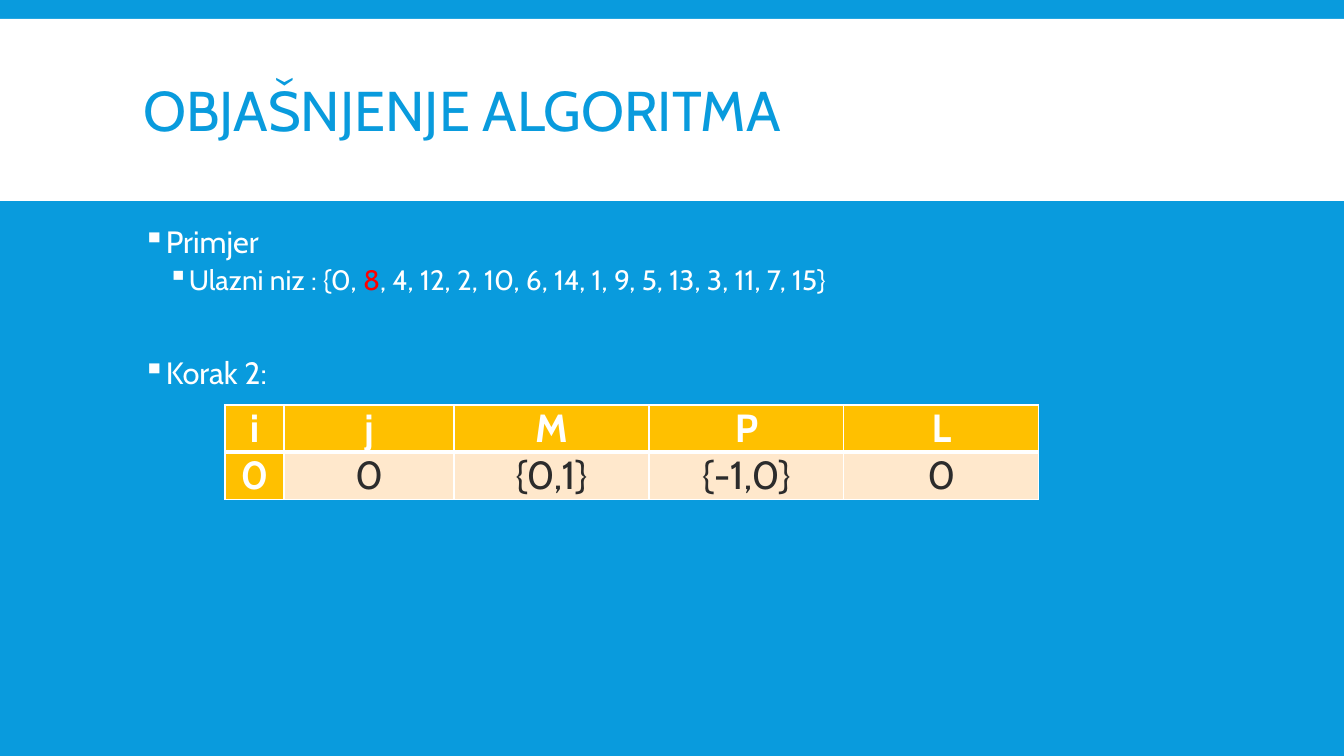
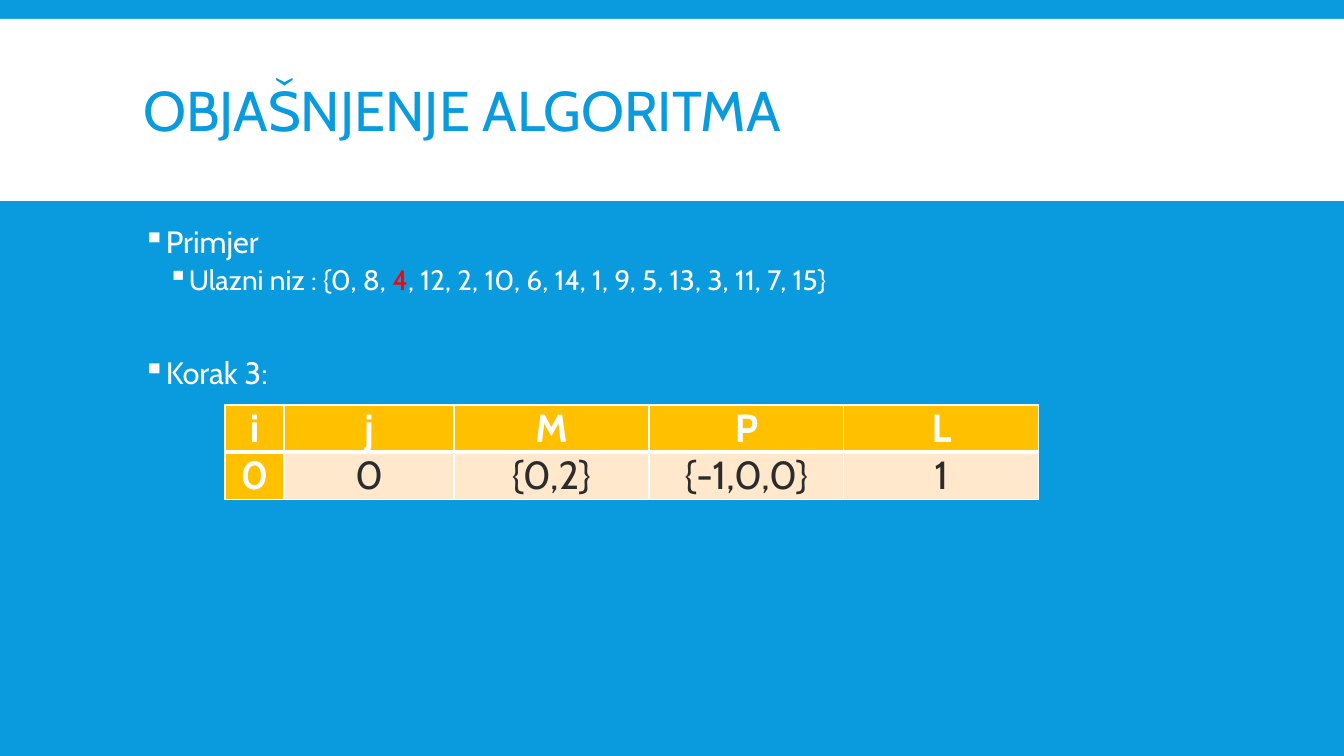
from lxml import etree
from pptx import Presentation
from pptx.dml.color import RGBColor
from pptx.enum.shapes import MSO_SHAPE
from pptx.enum.text import MSO_ANCHOR, MSO_AUTO_SIZE, PP_ALIGN
from pptx.oxml.ns import qn
from pptx.util import Pt

RECT = MSO_SHAPE.RECTANGLE
MIDDLE = MSO_ANCHOR.MIDDLE
NO_AUTOFIT = MSO_AUTO_SIZE.NONE
LEFT, CENTER = PP_ALIGN.LEFT, PP_ALIGN.CENTER

BLUE = RGBColor(0x09, 0x9B, 0xDD)
WHITE = RGBColor(0xFF, 0xFF, 0xFF)
RED = RGBColor(0xFF, 0x00, 0x00)
GOLD = RGBColor(0xFF, 0xC0, 0x00)
CREAM = RGBColor(0xFF, 0xE8, 0xCC)
DARK = RGBColor(0x2C, 0x2C, 0x2C)

FONT = "Cabin"
SLIDE_W, SLIDE_H = 1344, 756
EMU_PER_PX = 12192000 / SLIDE_W
BAND = (0, 19, SLIDE_W, 182)
TITLE = (133, 31, 1079, 166)
BODY = (133, 222, 1079, 464)
TABLE = (225, 405, 814, 94)
FIRST_COL, SECOND_COL = 59, 170

SEQUENCE = [0, 8, 4, 12, 2, 10, 6, 14, 1, 9, 5, 13, 3, 11, 7, 15]
HEADERS = ["i", "j", "M", "P", "L"]
STEPS = [
    (2, ["0", "0", "{0,1}", "{-1,0}", "0"]),
    (3, ["0", "0", "{0,2}", "{-1,0,0}", "1"]),
]


def px(n):
    """Turn pixels into EMU."""
    return round(n * EMU_PER_PX)


def add_text(p, text, size, color=WHITE, bold=False):
    """Append a formatted run to a paragraph."""
    r = p.add_run()
    r.text = text
    r.font.name = FONT
    r.font.size = Pt(size)
    r.font.bold = bold
    r.font.color.rgb = color


def set_bullet(p, margin, hang=20):
    """Give a paragraph a square bullet with a hanging indent."""
    pPr = p._p.get_or_add_pPr()
    pPr.set("marL", str(px(margin)))
    pPr.set("indent", str(-px(hang)))
    color = etree.SubElement(pPr, qn("a:buClr"))
    etree.SubElement(color, qn("a:srgbClr"), val=str(WHITE))
    etree.SubElement(pPr, qn("a:buChar"), char="▪")


def add_bullet(p, parts, size, margin, before, after):
    """Fill a bulleted paragraph from (text, color) parts."""
    p.line_spacing = 0.9
    p.space_before, p.space_after = Pt(before), Pt(after)
    set_bullet(p, margin)
    for text, color in parts:
        add_text(p, text, size, color=color)


def set_borders(cell, top, bottom):
    """Draw white borders around a cell, with 1 pt sides."""
    tcPr = cell._tc.get_or_add_tcPr()
    for side, width in (("L", 1), ("R", 1), ("T", top), ("B", bottom)):
        ln = etree.SubElement(tcPr, qn("a:ln" + side), w=str(Pt(width)))
        fill = etree.SubElement(ln, qn("a:solidFill"))
        etree.SubElement(fill, qn("a:srgbClr"), val=str(WHITE))


def add_header(s, text, band, box):
    """Place the white band and the title over it."""
    sp = s.shapes.add_shape(RECT, *map(px, band))
    sp.shadow.inherit = False
    sp.fill.solid()
    sp.fill.fore_color.rgb = WHITE
    sp.line.fill.background()
    title = s.shapes.title
    title._element.addprevious(sp._element)
    title.left, title.top, title.width, title.height = map(px, box)
    tf = title.text_frame
    tf.word_wrap = True
    tf.auto_size = NO_AUTOFIT
    tf.vertical_anchor = MIDDLE
    p = tf.paragraphs[0]
    p.alignment = LEFT
    p.line_spacing = 0.85
    add_text(p, text, 40, color=BLUE)


def add_body(s, step, box):
    """List the input sequence, with the step's element in red, and the step."""
    tf = s.shapes.add_textbox(*map(px, box)).text_frame
    tf.word_wrap = True
    current = step - 1
    before = "".join(f"{n}, " for n in SEQUENCE[:current])
    after = "".join(f", {n}" for n in SEQUENCE[current + 1:])
    sequence = [("Ulazni niz : {" + before, WHITE),
                (str(SEQUENCE[current]), RED),
                (after + "}", WHITE)]
    add_bullet(tf.paragraphs[0], [("Primjer", WHITE)], 22, 20, 12, 2)
    add_bullet(tf.add_paragraph(), sequence, 20, 45, 2, 4)
    add_bullet(tf.add_paragraph(), [(f"Korak {step}:", WHITE)], 22, 20, 40, 2)


def add_state_table(s, values, box):
    """Show the variables and their values in a two-row table."""
    rows = [HEADERS, values]
    table = s.shapes.add_table(len(rows), len(HEADERS), *map(px, box)).table
    rest = (box[2] - FIRST_COL - SECOND_COL) / 3
    for col, width in zip(table.columns, [FIRST_COL, SECOND_COL] + [rest] * 3):
        col.width = px(width)
    for i, row in enumerate(rows):
        for j, text in enumerate(row):
            cell = table.cell(i, j)
            heading = i == 0 or j == 0
            set_borders(cell, top=3 if i else 1, bottom=1 if i else 3)
            cell.fill.solid()
            cell.fill.fore_color.rgb = GOLD if heading else CREAM
            cell.margin_left = cell.margin_right = px(7)
            cell.margin_top = cell.margin_bottom = 0
            p = cell.text_frame.paragraphs[0]
            p.alignment = CENTER
            add_text(p, text, 28, color=WHITE if heading else DARK, bold=heading)


def add_step_slide(prs, step, values):
    """Build the slide for one step of the algorithm."""
    s = prs.slides.add_slide(prs.slide_layouts.get_by_name("Title Only"))
    add_header(s, "OBJAŠNJENJE ALGORITMA", BAND, TITLE)
    add_body(s, step, BODY)
    add_state_table(s, values, TABLE)


def main():
    """Build and save the presentation."""
    prs = Presentation()
    prs.slide_width, prs.slide_height = px(SLIDE_W), px(SLIDE_H)
    background = prs.slide_master.background.fill
    background.solid()
    background.fore_color.rgb = BLUE
    for step, values in STEPS:
        add_step_slide(prs, step, values)
    prs.save("out.pptx")


main()
